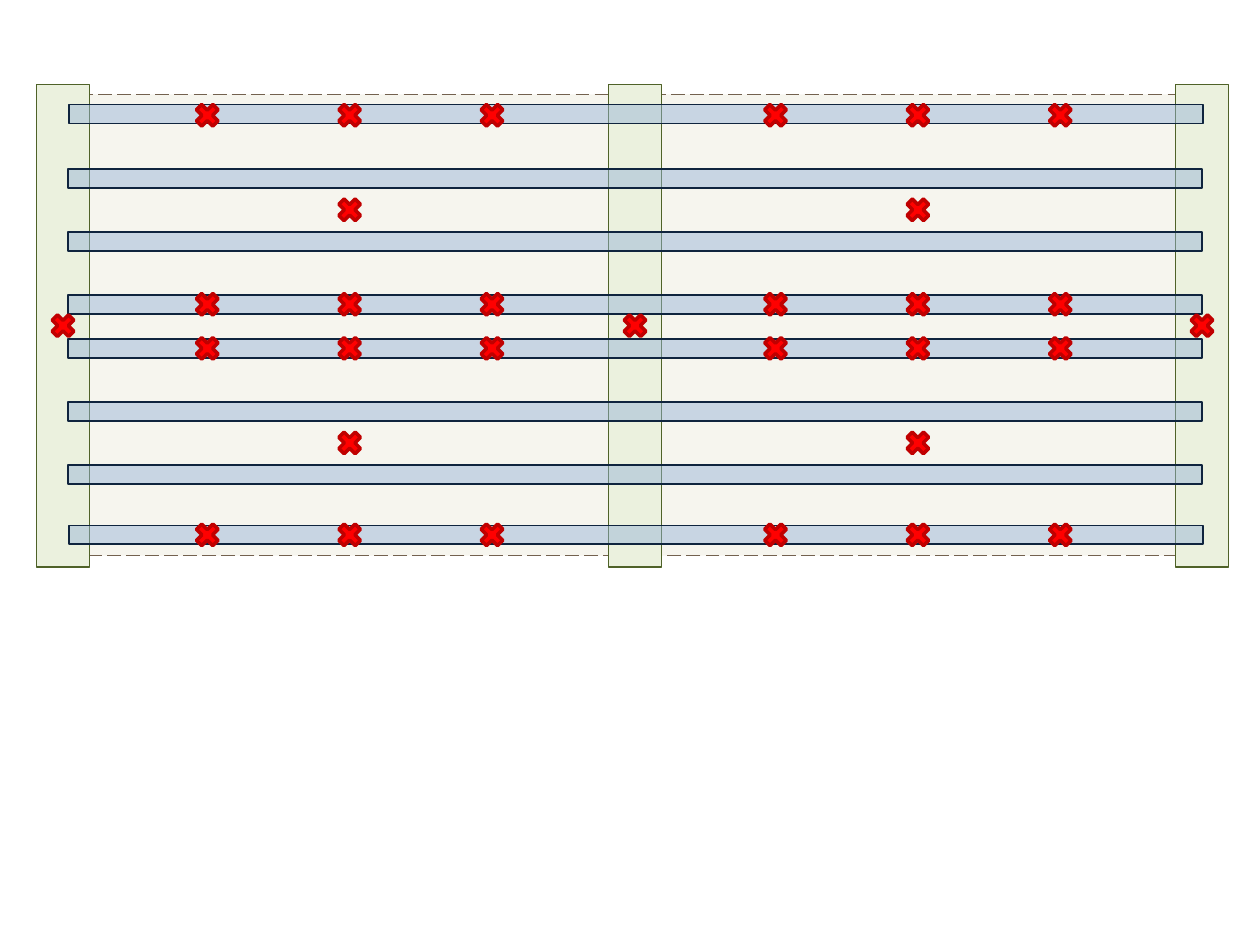
"""Draw a slatted panel on three posts with its fixing points marked."""
import itertools

import pptx
import pptx.dml.color
import pptx.enum.dml
import pptx.enum.shapes
import pptx.oxml
import pptx.oxml.ns
import pptx.util

KINDS = pptx.enum.shapes.MSO_SHAPE
DASHES = pptx.enum.dml.MSO_LINE

SLIDE_SIZE = (10, 7.5)
THEME = {
    "panel": {"fill": "F6F5EE", "line": "73614F", "width": 1, "dash": DASHES.LONG_DASH},
    "post": {"fill": "EBF1DE", "line": "4F6228", "width": 1},
    "slat": {"fill": "95B3D7", "line": "0F243E", "width": 1, "opacity": 47},
    "mark": {"fill": "FF0000", "line": "C00000", "width": 2},
}

PANEL = (0.5, 0.75, 9.1, 3.66)
POST_LEFTS = (0.29, 4.83, 9.33)
POST_TOP, POST_SIZE = 0.67, (0.42, 3.83)
SLAT_SIZE = (9, 0.15)
OUTER_SLAT_LEFT, OUTER_SLAT_TOPS = 0.55, (0.83, 4.17)
INNER_SLAT_LEFT, INNER_SLAT_STARTS, INNER_SLAT_STEP = 0.54, (1.34, 2.69), 0.5

MARK_SIZE = 0.25
POST_MARK_TOP = 2.46
BAY_CENTRES = (2.65, 7.16)
BAY_OFFSETS = (-1.13, 0, 1.13)
SLAT_MARK_TOPS = (0.79, 2.29, 2.64, 4.12)
GAP_MARK_TOPS = (1.54, 3.39)


def add_part(page, role, bounds, kind=KINDS.RECTANGLE):
    style = THEME[role]
    shape = page.shapes.add_shape(kind, *map(pptx.util.Inches, bounds))
    shape.shadow.inherit = False
    shape.fill.solid()
    shape.fill.fore_color.rgb = pptx.dml.color.RGBColor.from_string(style["fill"])
    shape.line.color.rgb = pptx.dml.color.RGBColor.from_string(style["line"])
    shape.line.width = pptx.util.Pt(style["width"])
    if "dash" in style:
        shape.line.dash_style = style["dash"]
    if "opacity" in style:
        colour = shape.element.spPr.find(pptx.oxml.ns.qn("a:solidFill"))[0]
        alpha = pptx.oxml.parse_xml(
            f'<a:alpha {pptx.oxml.ns.nsdecls("a")} val="{style["opacity"] * 1000}"/>'
        )
        colour.append(alpha)


def slat_corners():
    outer = [(OUTER_SLAT_LEFT, top) for top in OUTER_SLAT_TOPS]
    inner = [
        (INNER_SLAT_LEFT, start + row * INNER_SLAT_STEP)
        for start, row in itertools.product(INNER_SLAT_STARTS, range(3))
    ]
    return outer + inner


def mark_corners():
    inset = (POST_SIZE[0] - MARK_SIZE) / 2
    on_posts = [(left + inset, POST_MARK_TOP) for left in POST_LEFTS]
    columns = [centre + offset for centre in BAY_CENTRES for offset in BAY_OFFSETS]
    on_slats = itertools.product(columns, SLAT_MARK_TOPS)
    in_gaps = itertools.product(BAY_CENTRES, GAP_MARK_TOPS)
    return itertools.chain(on_posts, on_slats, in_gaps)


def main():
    deck = pptx.Presentation()
    deck.slide_width, deck.slide_height = map(pptx.util.Inches, SLIDE_SIZE)
    page = deck.slides.add_slide(deck.slide_layouts[6])
    add_part(page, "panel", PANEL)
    for left in POST_LEFTS:
        add_part(page, "post", (left, POST_TOP, *POST_SIZE))
    for corner in slat_corners():
        add_part(page, "slat", (*corner, *SLAT_SIZE))
    for corner in mark_corners():
        add_part(page, "mark", (*corner, MARK_SIZE, MARK_SIZE), KINDS.MATH_MULTIPLY)
    deck.save("out.pptx")


if __name__ == "__main__":
    main()
